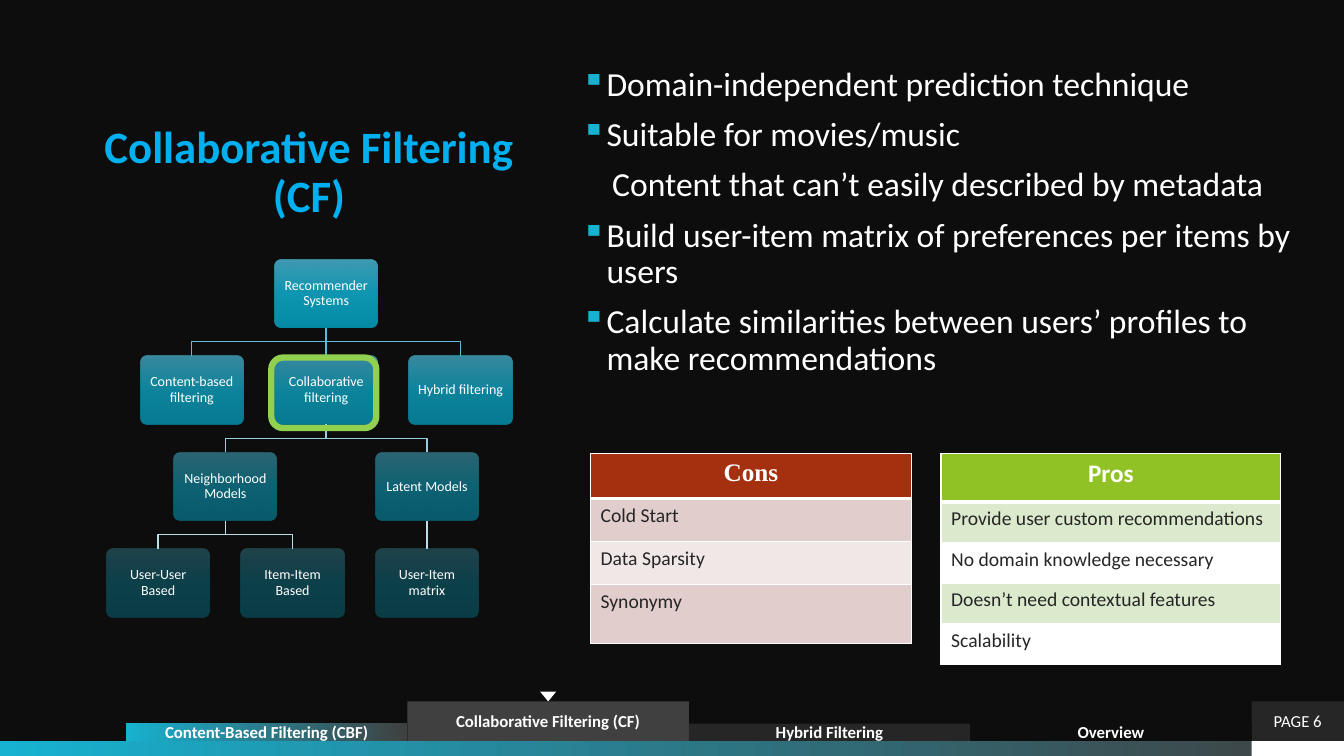
"""Build the collaborative filtering slide: method tree, key points, cons and pros tables."""
from dataclasses import dataclass
from typing import Optional

from lxml import etree
from pptx import Presentation
from pptx.dml.color import RGBColor
from pptx.enum.shapes import MSO_CONNECTOR, MSO_SHAPE
from pptx.enum.text import MSO_ANCHOR, PP_ALIGN
from pptx.oxml.ns import qn
from pptx.util import Pt

RECT, ROUND, TRIANGLE = MSO_SHAPE.RECTANGLE, MSO_SHAPE.ROUNDED_RECTANGLE, MSO_SHAPE.ISOSCELES_TRIANGLE
STRAIGHT = MSO_CONNECTOR.STRAIGHT
CENTER, LEFT = PP_ALIGN.CENTER, PP_ALIGN.LEFT
TOP, MIDDLE, BOTTOM = MSO_ANCHOR.TOP, MSO_ANCHOR.MIDDLE, MSO_ANCHOR.BOTTOM

COLORS = {
    "back": "0D0D0D", "white": "FFFFFF", "title": "00B0F0", "accent": "17B2D1",
    "grey": "404040", "dark": "262626", "highlight": "92D050",
    "node_top": "4DBDDB", "node_mid": "0EB8DA", "node_low": "04A9CA",
    "link0": "5FBCD6", "link1": "98CDE0", "link2": "BDDDE9",
    "cons": "A5300F", "cons_odd": "E1CDCC", "cons_even": "F0E8E7",
    "pros": "90C226", "pros_odd": "DBE9CD",
}
FONT = "Calibri"
BAR = [(0, "accent", 100), (100, "grey", 100)]
NODE_W, NODE_H, NODE_TOP, LEVEL_STEP = 73.6, 49, 185.2, 68.9
TREE_MID, UNIT = 233, 48
LEVEL_ALPHA = (80, 70, 50, 30)
TAB_LEFT, TAB_W, BAR_TOP = 90, 201, 529.2


@dataclass
class Node:
    """One box of the method tree, placed by level and horizontal unit."""
    label: str
    level: int
    unit: float
    parent: Optional[float] = None


@dataclass
class Tab:
    """One navigation tab standing on the bottom bar."""
    label: str
    height: float
    fill: Optional[str]


@dataclass
class Point:
    """One paragraph of the key points."""
    text: str
    bullet: bool = True


@dataclass
class Grid:
    """A one-column table with a coloured header."""
    left: float
    width: float
    heights: list[float]
    rows: list[str]
    header_font: str
    fills: tuple[str, str, str]


NODES = [
    Node("Recommender Systems", 0, 0),
    Node("Content-based filtering", 1, -2, 0),
    Node("Collaborative filtering", 1, 0, 0),
    Node("Hybrid filtering", 1, 2, 0),
    Node("Neighborhood Models", 2, -1.5, 0),
    Node("Latent Models", 2, 1.5, 0),
    Node("User-User Based", 3, -2.5, -1.5),
    Node("Item-Item Based", 3, -0.5, -1.5),
    Node("User-Item matrix", 3, 1.5, 1.5),
]
TABS = [
    Tab("Content-Based Filtering (CBF)", 13, None),
    Tab("Collaborative Filtering (CF)", 28.2, "grey"),
    Tab("Hybrid Filtering", 12.4, "dark"),
    Tab("Overview", 12.4, "back"),
]
POINTS = [
    Point("Domain-independent prediction technique"),
    Point("Suitable for movies/music"),
    Point("Content that can’t easily described by metadata", False),
    Point("Build user-item matrix of preferences per items by users"),
    Point("Calculate similarities between users’ profiles to make recommendations"),
]
GRIDS = [
    Grid(421.8, 229.2, [32.2, 30.8, 30.8, 41.8], ["Cons", "Cold Start", "Data Sparsity", "Synonymy"],
         "Times New Roman", ("cons", "cons_odd", "cons_even")),
    Grid(672.2, 242.6, [34.4] + [29] * 4,
         ["Pros", "Provide user custom recommendations", "No domain knowledge necessary",
          "Doesn’t need contextual features", "Scalability"],
         FONT, ("pros", "pros_odd", "white")),
]


def rgb(name: str) -> RGBColor:
    """Look up a named colour."""
    return RGBColor.from_string(COLORS[name])


def add_run(p, text: str, size: float, color: str = "white", bold: bool = False, font: str = FONT) -> None:
    """Append one formatted run to a paragraph."""
    r = p.add_run()
    r.text = text
    r.font.size, r.font.name, r.font.bold = Pt(size), font, bold
    r.font.color.rgb = rgb(color)


def setup_frame(tf, anchor, inset: Optional[float] = None) -> None:
    """Wrap the text, anchor it and optionally set equal insets."""
    tf.word_wrap, tf.vertical_anchor = True, anchor
    if inset is not None:
        tf.margin_left = tf.margin_right = tf.margin_top = tf.margin_bottom = Pt(inset)


def set_gradient(sp, stops: list[tuple[int, str, int]], angle: float) -> None:
    """Fill a shape with stops of position, colour name and opacity."""
    sp.fill.gradient()
    sp.fill.gradient_angle = angle
    stop_list = sp.element.spPr.find(".//" + qn("a:gsLst"))
    for old in list(stop_list):
        stop_list.remove(old)
    for pos, color, alpha in stops:
        gs = etree.SubElement(stop_list, qn("a:gs"), pos=str(pos * 1000))
        clr = etree.SubElement(gs, qn("a:srgbClr"), val=COLORS[color])
        etree.SubElement(clr, qn("a:alpha"), val=str(alpha * 1000))


def add_box(s, kind, x: float, y: float, w: float, h: float, fill: Optional[str] = None):
    """Add a preset shape without outline or shadow."""
    sp = s.shapes.add_shape(kind, Pt(x), Pt(y), Pt(w), Pt(h))
    sp.shadow.inherit = False
    sp.line.fill.background()
    if fill:
        sp.fill.solid()
        sp.fill.fore_color.rgb = rgb(fill)
    else:
        sp.fill.background()
    return sp


def add_label(sp, text: str, size: float, bold: bool = False, spacing: float = 1.0,
              inset: Optional[float] = None) -> None:
    """Write centred text in a shape."""
    setup_frame(sp.text_frame, MIDDLE, inset)
    p = sp.text_frame.paragraphs[0]
    p.alignment, p.line_spacing = CENTER, spacing
    add_run(p, text, size, bold=bold)


def add_link(s, node: Node) -> None:
    """Join a node to its parent with a straight or stepped line."""
    x1, x2 = TREE_MID + UNIT * node.parent, TREE_MID + UNIT * node.unit
    y2 = NODE_TOP + LEVEL_STEP * node.level
    y1 = y2 - LEVEL_STEP + NODE_H
    mid = (y1 + y2) / 2
    if x1 == x2:
        sp = s.shapes.add_connector(STRAIGHT, Pt(x1), Pt(y1), Pt(x2), Pt(y2))
        etree.SubElement(sp.element.spPr, qn("a:effectLst"))
    else:
        path = s.shapes.build_freeform(Pt(x1), Pt(y1))
        path.add_line_segments([(Pt(x), Pt(y)) for x, y in ((x1, mid), (x2, mid), (x2, y2))], close=False)
        sp = path.convert_to_shape()
        sp.shadow.inherit = False
        sp.fill.background()
    sp.line.color.rgb = rgb(f"link{node.level - 1}")
    sp.line.width = Pt(1)


def add_node(s, node: Node) -> None:
    """Draw one translucent tree box with its label."""
    sp = add_box(s, ROUND, TREE_MID + UNIT * node.unit - NODE_W / 2,
                 NODE_TOP + LEVEL_STEP * node.level, NODE_W, NODE_H)
    sp.adjustments[0] = 0.1
    alpha = LEVEL_ALPHA[node.level]
    set_gradient(sp, [(0, "node_top", alpha), (50, "node_mid", alpha), (100, "node_low", alpha)], 270)
    add_label(sp, node.label, 10, spacing=0.9, inset=4)


def add_points(s) -> None:
    """Write the key points with square bullets."""
    tf = s.shapes.add_textbox(Pt(408.2), Pt(44.6), Pt(545), Pt(417)).text_frame
    setup_frame(tf, TOP)
    for i, point in enumerate(POINTS):
        p = tf.paragraphs[0] if i == 0 else tf.add_paragraph()
        p.line_spacing, p.space_before = 0.9, Pt(10 if i else 0)
        ppr = p._p.get_or_add_pPr()
        ppr.set("marL", str(Pt(18 if point.bullet else 22)))
        ppr.set("indent", str(Pt(-18 if point.bullet else 0)))
        if point.bullet:
            etree.SubElement(etree.SubElement(ppr, qn("a:buClr")), qn("a:srgbClr"), val=COLORS["accent"])
            etree.SubElement(ppr, qn("a:buChar"), char="▪")
        add_run(p, point.text, 24)


def set_borders(cell, top: float, bottom: float) -> None:
    """Draw white cell borders with the given top and bottom widths."""
    tcpr = cell._tc.get_or_add_tcPr()
    for tag, width in (("a:lnL", 1), ("a:lnR", 1), ("a:lnT", top), ("a:lnB", bottom)):
        ln = etree.SubElement(tcpr, qn(tag), w=str(Pt(width)))
        etree.SubElement(etree.SubElement(ln, qn("a:solidFill")), qn("a:srgbClr"), val=COLORS["white"])


def add_grid(s, grid: Grid) -> None:
    """Draw a table with a header and alternating rows."""
    table = s.shapes.add_table(len(grid.rows), 1, Pt(grid.left), Pt(324), Pt(grid.width),
                               Pt(sum(grid.heights))).table
    for i, (text, height) in enumerate(zip(grid.rows, grid.heights)):
        table.rows[i].height = Pt(height)
        cell, head = table.cell(i, 0), i == 0
        set_borders(cell, 3 if i == 1 else 1, 3 if head else 1)
        cell.fill.solid()
        cell.fill.fore_color.rgb = rgb(grid.fills[0 if head else 2 - i % 2])
        p = cell.text_frame.paragraphs[0]
        p.alignment = CENTER if head else LEFT
        add_run(p, text, 18 if head else 14, "white" if head else "dark", head,
                grid.header_font if head else FONT)


def main() -> None:
    """Build and save the slide."""
    prs = Presentation()
    prs.slide_width, prs.slide_height = Pt(960), Pt(540)
    s = prs.slides.add_slide(prs.slide_layouts[6])
    s.background.fill.solid()
    s.background.fill.fore_color.rgb = rgb("back")

    set_gradient(add_box(s, RECT, 0, BAR_TOP, 960, 10.8), BAR, 0)
    add_box(s, RECT, 894, BAR_TOP, 66, 10.8, "white")
    tf = s.shapes.add_textbox(Pt(66), Pt(36), Pt(309.6), Pt(126)).text_frame
    setup_frame(tf, BOTTOM)
    p = tf.paragraphs[0]
    p.alignment, p.line_spacing = CENTER, 0.9
    add_run(p, "Collaborative Filtering (CF)", 32, "title", True)

    add_label(add_box(s, RECT, 894, 501, 66, 28.2, "dark"), "PAGE 6", 12)
    for i, tab in enumerate(TABS):
        sp = add_box(s, RECT, TAB_LEFT + TAB_W * i, BAR_TOP - tab.height, TAB_W, tab.height, tab.fill)
        if tab.fill is None:
            set_gradient(sp, BAR, 0)
        add_label(sp, tab.label, 12, True)
    add_box(s, TRIANGLE, 385.8, 494, 11.5, 7, "white").rotation = 180

    for node in NODES:
        if node.parent is not None:
            add_link(s, node)
        add_node(s, node)
    sp = add_box(s, ROUND, 193.8, 255.4, 75, 50.4)
    sp.line.color.rgb = rgb("highlight")
    sp.line.width = Pt(4.5)

    add_points(s)
    for grid in GRIDS:
        add_grid(s, grid)
    prs.save("out.pptx")


if __name__ == "__main__":
    main()
